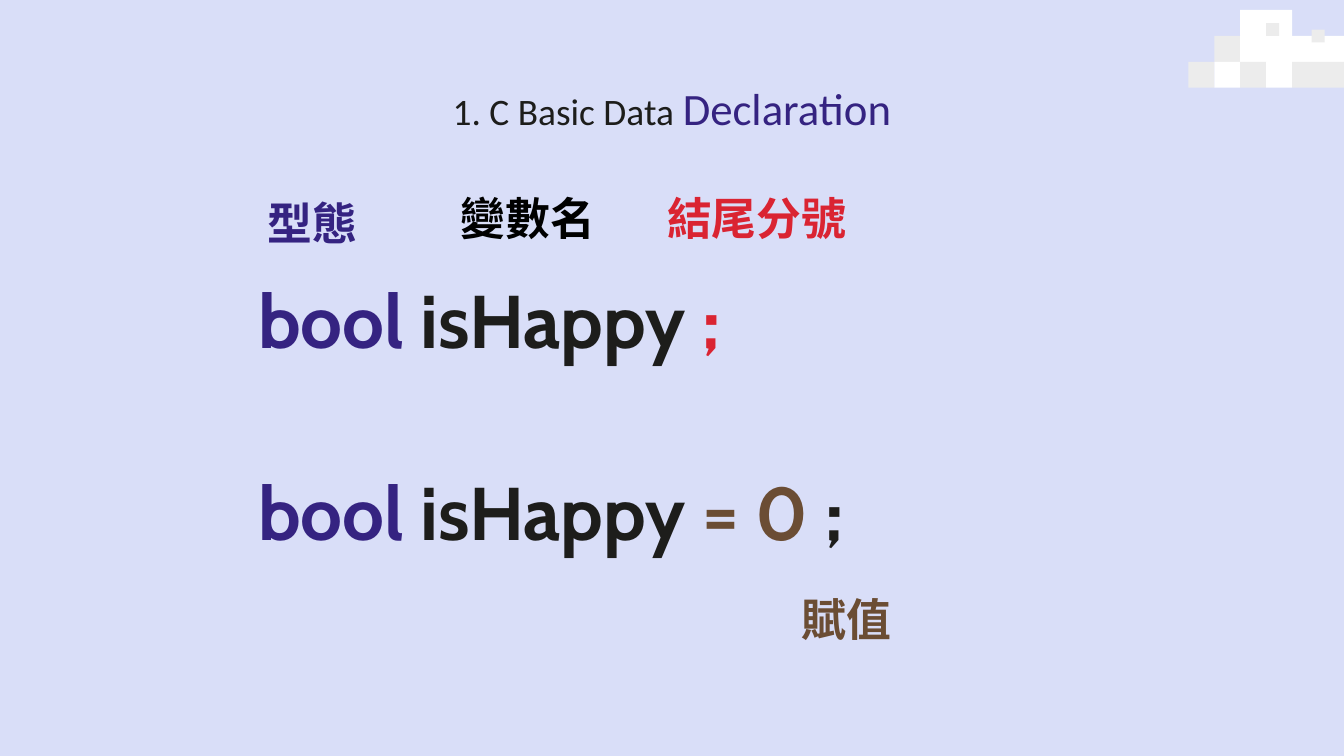
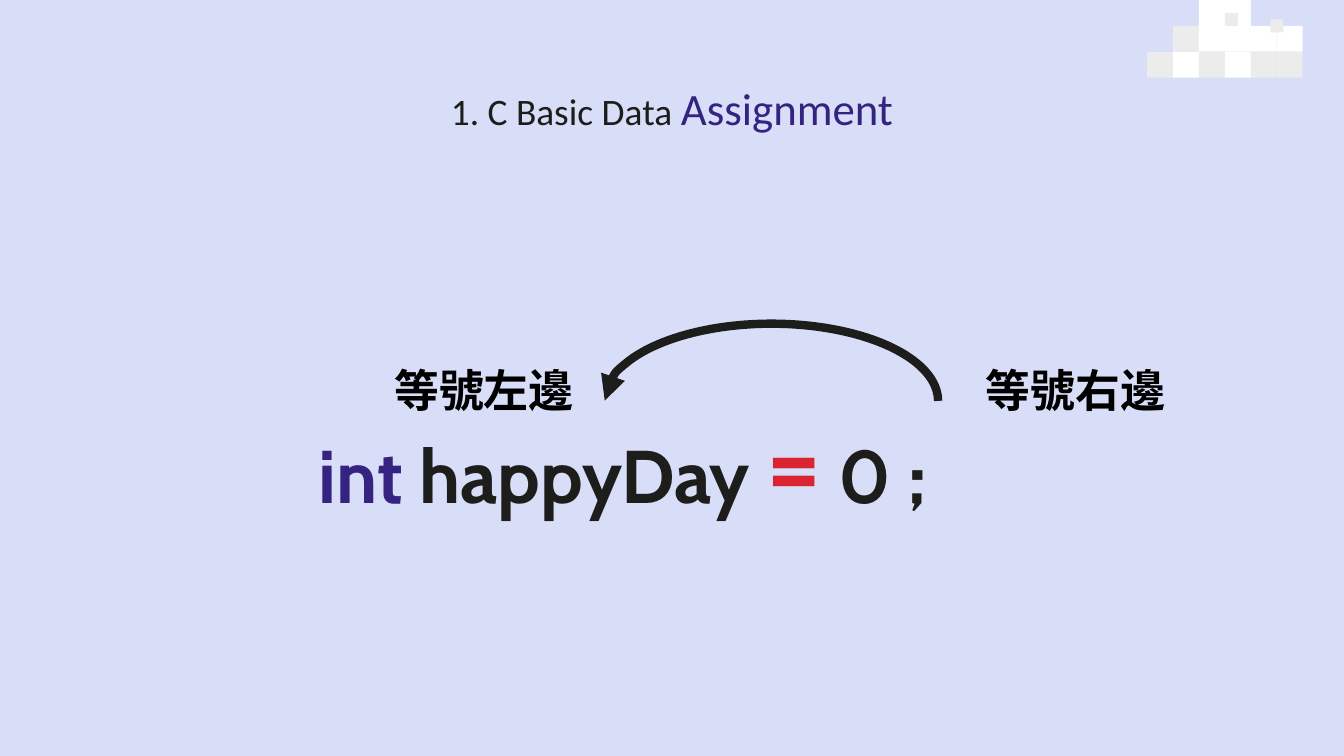
from typing import NamedTuple

from lxml import etree
from pptx import Presentation
from pptx.dml.color import RGBColor
from pptx.enum.shapes import MSO_SHAPE
from pptx.enum.text import MSO_ANCHOR, MSO_AUTO_SIZE, PP_ALIGN
from pptx.oxml.ns import qn
from pptx.util import Cm, Pt

RECT, ARC = MSO_SHAPE.RECTANGLE, MSO_SHAPE.ARC
MIDDLE, NO_FIT = MSO_ANCHOR.MIDDLE, MSO_AUTO_SIZE.NONE
LEFT, CENTER = PP_ALIGN.LEFT, PP_ALIGN.CENTER

# Shared look
LAVENDER, PURPLE, RED, BROWN = "D9DEF8", "352381", "DA2432", "6B4D34"
INK, BLACK, WHITE, GREY = "1D1D1B", "000000", "FFFFFF", "ECECEC"
TITLE_FONT, CODE_FONT = "Calibri", "Cabin"
TITLE_SIZE, LABEL_SIZE, CODE_SIZE, EQUALS_SIZE = 20, 24, 40, 60
LINE_HEIGHT = 1.27

# Pixel cloud: W is a white cell, G a grey one
CLOUD_ROWS = ("  WW  ", " GWWWW", "GWGWGG")
CLOUD_DOTS = ((3, 0.5), (4.75, 0.75))
CELL = 0.49


class Span(NamedTuple):
    text: str
    color: str
    size: float = CODE_SIZE


class TextLine(NamedTuple):
    left: float
    top: float
    width: float
    spans: tuple[Span, ...]
    align: int = LEFT


def label(left: float, top: float, width: float, text: str, color: str = BLACK) -> TextLine:
    return TextLine(left, top, width, (Span(text, color, LABEL_SIZE),), CENTER)


def rgb(color: str) -> RGBColor:
    return RGBColor.from_string(color)


def write_spans(sp, spans: tuple[Span, ...], align: int, font: str, bold: bool) -> None:
    tf = sp.text_frame
    tf.word_wrap, tf.auto_size, tf.vertical_anchor = True, NO_FIT, MIDDLE
    tf.margin_left = tf.margin_right = tf.margin_top = tf.margin_bottom = 0
    p = tf.paragraphs[0]
    p.alignment = align
    for span in spans:
        r = p.add_run()
        r.text = span.text
        r.font.name, r.font.size, r.font.bold = font, Pt(span.size), bold
        r.font.color.rgb = rgb(span.color)


def add_line(s, line: TextLine) -> None:
    sp = s.shapes.add_textbox(Cm(line.left), Cm(line.top), Cm(line.width), Cm(LINE_HEIGHT))
    write_spans(sp, line.spans, line.align, CODE_FONT, True)


def add_cloud(s, left: float, top: float) -> None:
    group = s.shapes.add_group_shape()

    def add_pixel(col: float, row: float, size: float, color: str) -> None:
        sp = group.shapes.add_shape(
            RECT, Cm(left + col * CELL), Cm(top + row * CELL), Cm(size), Cm(size))
        sp.shadow.inherit = False
        sp.fill.solid()
        sp.fill.fore_color.rgb = rgb(color)
        sp.line.fill.background()

    for row, cells in enumerate(CLOUD_ROWS):
        for col, cell in enumerate(cells):
            if cell != " ":
                add_pixel(col, row, CELL, WHITE if cell == "W" else GREY)
    for col, row in CLOUD_DOTS:
        add_pixel(col, row, CELL / 2, GREY)


def add_arc_arrow(s, left: float, top: float, width: float, height: float) -> None:
    sp = s.shapes.add_shape(ARC, Cm(left), Cm(top), Cm(width), Cm(height))
    sp.adjustments[0], sp.adjustments[1] = 108.07, 0
    sp.shadow.inherit = False
    sp.fill.background()
    sp.line.color.rgb = rgb(INK)
    sp.line.width = Pt(4.5)
    ln = sp.line.fill._xPr
    etree.SubElement(ln, qn("a:headEnd"), type="triangle")


def add_slide(prs, topic: str, cloud_left: float, cloud_top: float, lines: list[TextLine]):
    s = prs.slides.add_slide(prs.slide_layouts[5])
    title = s.shapes.title
    title.left, title.top, title.width, title.height = Cm(2), Cm(1.24), Cm(21.4), Cm(1.6)
    spans = (Span("1. C Basic Data ", INK, TITLE_SIZE), Span(topic, PURPLE, LABEL_SIZE))
    write_spans(title, spans, CENTER, TITLE_FONT, False)
    add_cloud(s, cloud_left, cloud_top)
    for line in lines:
        add_line(s, line)
    return s


def main() -> None:
    prs = Presentation()
    prs.slide_width, prs.slide_height = Cm(25.4), Cm(14.29)
    background = prs.slide_master.background.fill
    background.solid()
    background.fore_color.rgb = rgb(LAVENDER)

    # Declaration
    bool_name = (Span("bool ", PURPLE), Span("isHappy ", INK))
    add_slide(prs, "Declaration", 22.46, 0.19, [
        TextLine(4.88, 5.38, 14.17, (*bool_name, Span(";", RED))),
        TextLine(4.88, 9.02, 15.67, (*bool_name, Span("= 0 ", BROWN), Span(";", INK))),
        label(4.45, 3.58, 2.9, "型態", PURPLE),
        label(8.53, 3.48, 2.9, "變數名"),
        label(15.09, 11.05, 1.8, "賦值", BROWN),
        label(12.42, 3.48, 3.76, "結尾分號", RED),
    ])

    # Assignment
    assignment = (Span("int ", PURPLE), Span("happyDay ", INK),
                  Span("=", RED, EQUALS_SIZE), Span(" 0 ;", INK))
    s = add_slide(prs, "Assignment", 21.68, 0, [
        TextLine(6.02, 8.03, 15.67, assignment),
        label(18.47, 6.73, 3.71, "等號右邊"),
        label(7.29, 6.73, 3.71, "等號左邊"),
    ])
    add_arc_arrow(s, 11.43, 6.12, 6.3, 2.92)

    prs.save("out.pptx")


if __name__ == "__main__":
    main()
